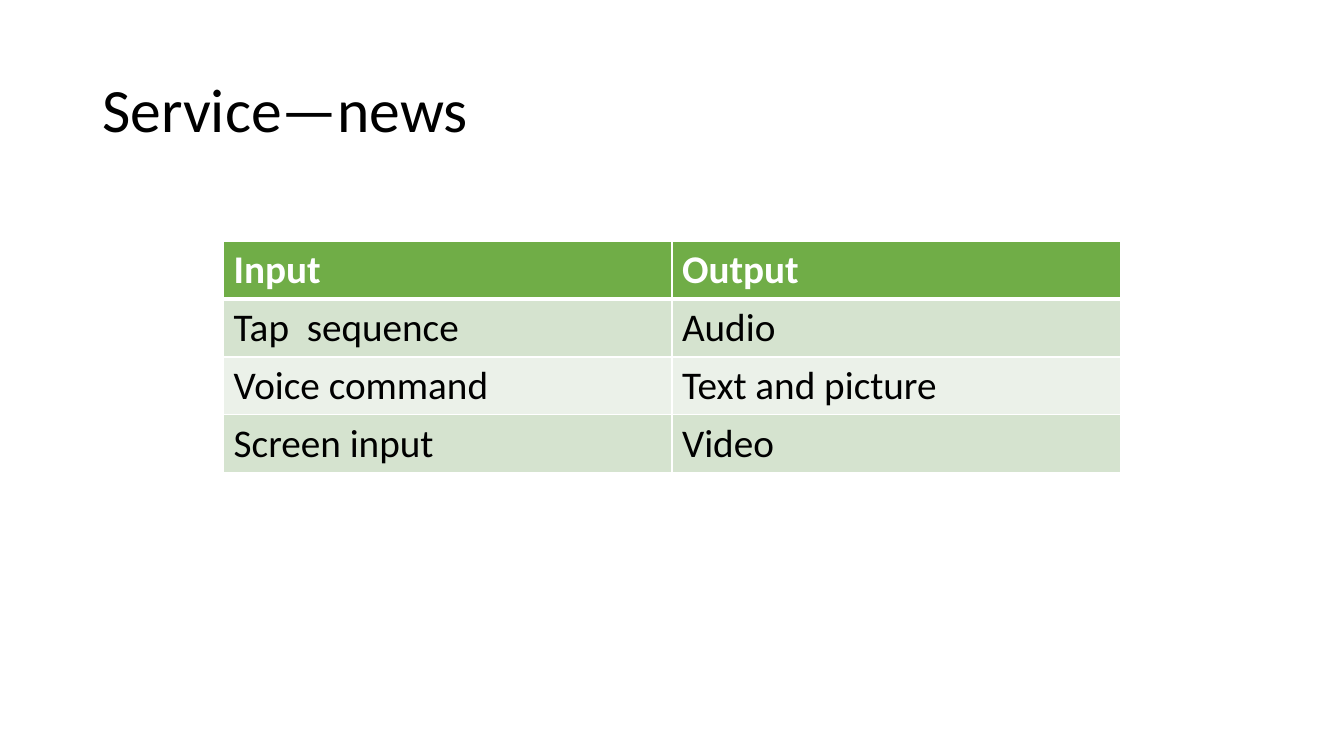
from lxml import etree
from pptx import Presentation
from pptx.dml.color import RGBColor
from pptx.enum.text import MSO_ANCHOR
from pptx.oxml.ns import qn
from pptx.util import Pt

PX = 9525  # EMU per px, 96 px to the inch
SLIDE_WIDTH, SLIDE_HEIGHT = 1280, 720
MIDDLE = MSO_ANCHOR.MIDDLE

BLACK = RGBColor(0x00, 0x00, 0x00)
WHITE = RGBColor(0xFF, 0xFF, 0xFF)
HEADER_GREEN = RGBColor(0x70, 0xAD, 0x47)
BANDS = (RGBColor(0xD5, 0xE3, 0xCF), RGBColor(0xEB, 0xF1, 0xE9))

SERVICES = [
    ("Input", "Output"),
    ("Tap  sequence", "Audio"),
    ("Voice command", "Text and picture"),
    ("Screen input", "Video"),
]


def write_text(frame, text, *, font, size, color, bold=False, line_spacing=None):
    paragraph = frame.paragraphs[0]
    paragraph.line_spacing = line_spacing
    run = paragraph.add_run()
    run.text = text
    run.font.name = font
    run.font.size = Pt(size)
    run.font.bold = bold
    run.font.color.rgb = color


def set_borders(cell, color, widths):
    """Draw cell borders; widths maps the sides L, R, T, B to points."""
    properties = cell._tc.get_or_add_tcPr()
    for position, side in enumerate("LRTB"):
        line = etree.Element(qn(f"a:ln{side}"), w=str(Pt(widths[side])))
        fill = etree.SubElement(line, qn("a:solidFill"))
        etree.SubElement(fill, qn("a:srgbClr"), val=str(color))
        properties.insert(position, line)


class SlideBuilder:
    def __init__(self, slide, font):
        self.slide = slide
        self.font = font

    def title(self, text, left, top, width, height):
        box = self.slide.shapes.add_textbox(left * PX, top * PX, width * PX, height * PX)
        frame = box.text_frame
        frame.word_wrap = True
        frame.vertical_anchor = MIDDLE
        write_text(frame, text, font=self.font, size=44, color=BLACK, line_spacing=0.9)

    def table(self, rows, left, top, column_width, row_height):
        """Add a table with a green header above banded rows."""
        columns = len(rows[0])
        table = self.slide.shapes.add_table(
            len(rows), columns, left * PX, top * PX,
            columns * column_width * PX, len(rows) * row_height * PX,
        ).table
        for column in table.columns:
            column.width = column_width * PX
        for r, labels in enumerate(rows):
            table.rows[r].height = row_height * PX
            header = r == 0
            borders = {"L": 1, "R": 1, "T": 3 if r == 1 else 1, "B": 3 if header else 1}
            for c, label in enumerate(labels):
                cell = table.cell(r, c)
                cell.fill.solid()
                cell.fill.fore_color.rgb = HEADER_GREEN if header else BANDS[(r - 1) % 2]
                set_borders(cell, WHITE, borders)
                write_text(cell.text_frame, label, font=self.font, size=28,
                           color=WHITE if header else BLACK, bold=header)


def main():
    deck = Presentation()
    deck.slide_width = SLIDE_WIDTH * PX
    deck.slide_height = SLIDE_HEIGHT * PX
    builder = SlideBuilder(deck.slides.add_slide(deck.slide_layouts[6]), "Calibri")
    builder.title("Service—news", 88, 38, 1104, 139)
    builder.table(SERVICES, 213, 230, column_width=427, row_height=55)
    deck.save("out.pptx")


if __name__ == "__main__":
    main()
